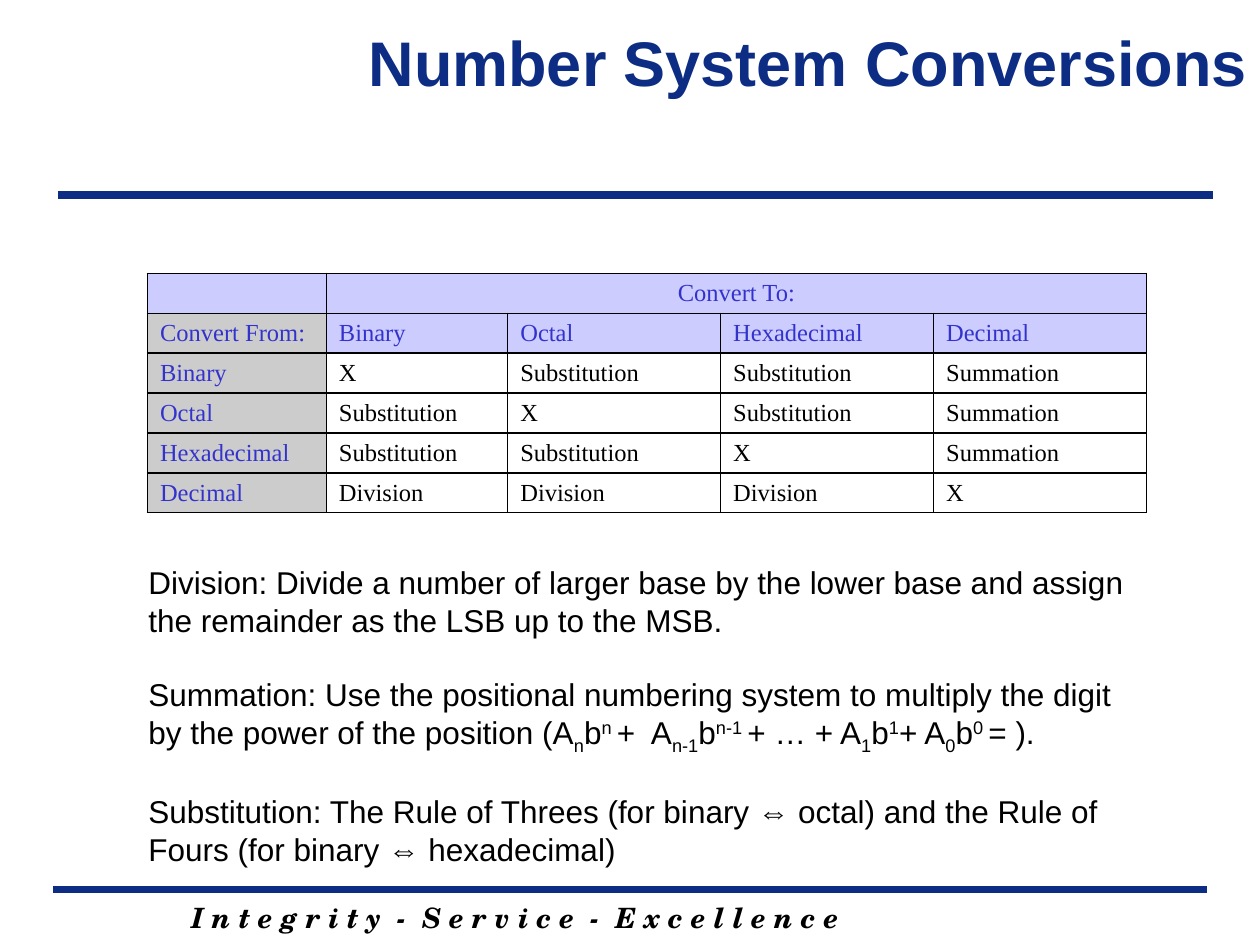
"""Build the number system conversions slide."""
from typing import Any, NamedTuple

from lxml.etree import SubElement
from pptx import Presentation
from pptx.dml.color import RGBColor
from pptx.enum.shapes import MSO_CONNECTOR as Connector
from pptx.enum.text import MSO_ANCHOR as Anchor, PP_ALIGN as Align
from pptx.oxml.ns import qn
from pptx.util import Inches, Pt

COLORS = {
    "navy": "0C2D83",
    "black": "000000",
    "label": "3333CC",
    "header": "CCCCFF",
    "side": "CCCCCC",
}


class Rule(NamedTuple):
    left: float
    right: float
    top: float


class Style(NamedTuple):
    name: str
    size: float
    color: str = "black"
    bold: bool = False
    italic: bool = False


class Piece(NamedTuple):
    text: str
    baseline: int = 0


SUB, SUPER = -25, 30
TITLE = Style("Arial", 36, "navy", bold=True)
MOTTO = Style("TeX Gyre Schola", 16, bold=True, italic=True)
BODY = Style("Arial", 18)
CELL = Style("Times New Roman", 14)
LABEL = CELL._replace(color="label")

RULES = [Rule(0.42, 9.58, 7.06), Rule(0.46, 9.63, 1.55)]
COLUMN_WIDTHS = [1.42, 1.44, 1.69, 1.69, 1.69]
TABLE_HEIGHT = 1.9
BASES = ["Binary", "Octal", "Hexadecimal", "Decimal"]
METHODS = [
    ["X", "Substitution", "Substitution", "Summation"],
    ["Substitution", "X", "Substitution", "Summation"],
    ["Substitution", "Substitution", "X", "Summation"],
    ["Division", "Division", "Division", "X"],
]
ROWS = [
    ["", "Convert To:", "", "", ""],
    ["Convert From:", *BASES],
    *([base, *methods] for base, methods in zip(BASES, METHODS)),
]


def power_term(index: str, end: str = "") -> list[Piece]:
    """Give the digit index, base and exponent that follow an A."""
    return [Piece(index, SUB), Piece("b"), Piece(index + end, SUPER)]


EXPLANATIONS = [
    [Piece("Division: Divide a number of larger base by the lower base and "
           "assign the remainder as the LSB up to the MSB.")],
    [
        Piece("Summation: Use the positional numbering system to multiply "
              "the digit by the power of the position (A"),
        *power_term("n", " "), Piece("+  A"),
        *power_term("n-1", " "), Piece("+ … + A"),
        *power_term("1"), Piece("+ A"),
        *power_term("0", " "), Piece("= )."),
    ],
    [Piece("Substitution: The Rule of Threes (for binary ⇔ octal) and the "
           "Rule of Fours (for binary ⇔ hexadecimal)")],
]


def set_values(target: Any, values: dict[str, Any]) -> None:
    """Set each named attribute of the target."""
    for name, value in values.items():
        setattr(target, name, value)


def place(shape: Any, left: float, top: float, width: float, height: float) -> None:
    """Position and size a shape in inches."""
    values = {"left": left, "top": top, "width": width, "height": height}
    set_values(shape, {name: Inches(value) for name, value in values.items()})


def add_piece(paragraph: Any, piece: Piece, style: Style) -> None:
    """Add a formatted run, raised or lowered by its baseline."""
    run = paragraph.add_run()
    run.text = piece.text
    values = style._asdict()
    color = values.pop("color")
    set_values(run.font, values | {"size": Pt(style.size)})
    run.font.color.rgb = RGBColor.from_string(COLORS[color])
    if piece.baseline:
        run._r.get_or_add_rPr().set("baseline", str(piece.baseline * 1000))


def add_text(slide: Any, box: tuple[float, float, float, float],
             paragraphs: list[list[Piece]], style: Style, gap: float = 0) -> None:
    """Add a wrapping text box with a gap between paragraphs."""
    shape = slide.shapes.add_textbox(*map(Inches, box))
    frame = shape.text_frame
    frame.word_wrap = True
    for index, pieces in enumerate(paragraphs):
        paragraph = frame.add_paragraph() if index else frame.paragraphs[0]
        paragraph.space_before = Pt(gap if index else 0)
        for piece in pieces:
            add_piece(paragraph, piece, style)


def add_rule(slide: Any, rule: Rule) -> None:
    """Add a thick horizontal rule."""
    top = Inches(rule.top)
    line = slide.shapes.add_connector(
        Connector.STRAIGHT, Inches(rule.left), top, Inches(rule.right), top)
    line.line.width = Pt(4.5)
    line.line.color.rgb = RGBColor.from_string(COLORS["navy"])
    SubElement(line._element.spPr, qn("a:effectLst"))


def add_borders(cell: Any) -> None:
    """Give all four sides of a cell a thin black border."""
    properties = cell._tc.get_or_add_tcPr()
    for side in ("lnL", "lnR", "lnT", "lnB"):
        border = SubElement(properties, qn(f"a:{side}"), w=str(Pt(1)))
        fill = SubElement(border, qn("a:solidFill"))
        SubElement(fill, qn("a:srgbClr"), val=COLORS["black"])


def format_cell(cell: Any, text: str, row: int, column: int) -> None:
    """Fill, border and write one table cell."""
    add_borders(cell)
    set_values(cell, {"margin_top": Inches(0.04), "margin_bottom": Inches(0.04),
                      "vertical_anchor": Anchor.MIDDLE})
    heading = row < 2 or column == 0
    if heading:
        fill = "side" if row and column == 0 else "header"
        cell.fill.solid()
        cell.fill.fore_color.rgb = RGBColor.from_string(COLORS[fill])
    else:
        cell.fill.background()
    paragraph = cell.text_frame.paragraphs[0]
    paragraph.alignment = Align.LEFT if row else Align.CENTER
    if text:
        add_piece(paragraph, Piece(text), LABEL if heading else CELL)
    else:
        SubElement(paragraph._p, qn("a:endParaRPr"), sz=str(CELL.size * 100))


def add_conversion_table(slide: Any) -> None:
    """Add the table of conversion methods."""
    table = slide.shapes.add_table(
        len(ROWS), len(COLUMN_WIDTHS), Inches(1.17), Inches(2.17),
        Inches(sum(COLUMN_WIDTHS)), Inches(TABLE_HEIGHT)).table
    set_values(table, {"first_row": False, "horz_banding": False})
    for column, width in zip(table.columns, COLUMN_WIDTHS):
        column.width = Inches(width)
    for row, texts in enumerate(ROWS):
        for column, text in enumerate(texts):
            format_cell(table.cell(row, column), text, row, column)
    table.cell(0, 1).merge(table.cell(0, 4))


def main() -> None:
    """Build and save the slide."""
    presentation = Presentation()
    set_values(presentation, {"slide_width": Inches(10), "slide_height": Inches(7.5)})
    slide = presentation.slides.add_slide(presentation.slide_layouts[5])
    for rule in RULES:
        add_rule(slide, rule)
    motto = "I n t e g r i t y  -  S e r v i c e  -  E x c e l l e n c e"
    add_text(slide, (1.42, 7.1, 7.17, 0.37), [[Piece(motto)]], MOTTO)
    title = slide.shapes.title
    place(title, 1.5, 0, 8.5, 0.97)
    title.text_frame.vertical_anchor = Anchor.MIDDLE
    heading = title.text_frame.paragraphs[0]
    heading.alignment = Align.RIGHT
    add_piece(heading, Piece("Number System Conversions"), TITLE)
    add_conversion_table(slide)
    add_text(slide, (1.08, 4.42, 8.08, 2.52), EXPLANATIONS, BODY, gap=20.7)
    presentation.save("out.pptx")


if __name__ == "__main__":
    main()
